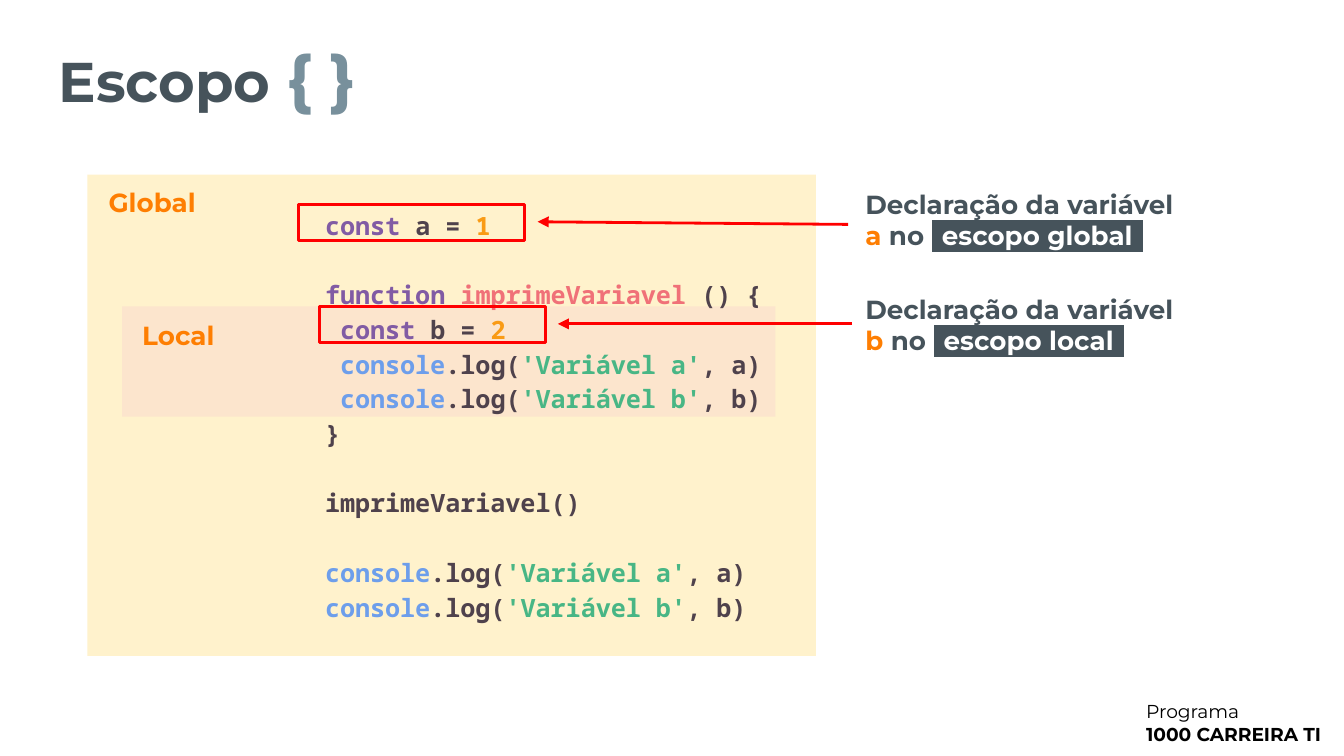
from lxml import etree
from pptx import Presentation
from pptx.dml.color import RGBColor
from pptx.enum.shapes import MSO_CONNECTOR, MSO_SHAPE
from pptx.oxml.ns import qn
from pptx.util import Inches, Pt

RECTANGLE = MSO_SHAPE.RECTANGLE
STRAIGHT = MSO_CONNECTOR.STRAIGHT

BLACK = RGBColor(0x00, 0x00, 0x00)
WHITE = RGBColor(0xFF, 0xFF, 0xFF)
SLATE = RGBColor(0x46, 0x53, 0x5B)
STEEL = RGBColor(0x78, 0x90, 0x9C)
ORANGE = RGBColor(0xFE, 0x7E, 0x02)
RED = RGBColor(0xFF, 0x00, 0x00)
CREAM = RGBColor(0xFF, 0xF2, 0xCC)
PEACH = RGBColor(0xFC, 0xE5, 0xCD)
KEYWORD = RGBColor(0x81, 0x5B, 0xA4)
PLAIN = RGBColor(0x4F, 0x42, 0x4C)
NUMBER = RGBColor(0xF9, 0x9B, 0x15)
FUNCTION = RGBColor(0xF0, 0x71, 0x78)
OBJECT = RGBColor(0x6D, 0x9E, 0xEB)
STRING = RGBColor(0x48, 0xB6, 0x85)

CODE_LINE_PITCH = 18.6

prs = Presentation()
prs.slide_width = Inches(10)
prs.slide_height = Inches(10 * 9 / 16)
slide = prs.slides.add_slide(prs.slide_layouts[6])


def add_text(paragraphs, left, top, width, height, size=14, font="Montserrat",
             bold=True, line_spacing=None, gaps=()):
    """Each paragraph is a list of (text, colour, overrides) runs.

    Overrides may hold size, bold and highlight; gaps maps paragraph
    numbers to the points of space before them.
    """
    box = slide.shapes.add_textbox(Inches(left), Inches(top), Inches(width), Inches(height))
    frame = box.text_frame
    frame.word_wrap = True
    frame.margin_left = frame.margin_right = Inches(0.1)
    frame.margin_top = frame.margin_bottom = Inches(0.1)
    for number, runs in enumerate(paragraphs):
        paragraph = frame.add_paragraph() if number else frame.paragraphs[0]
        paragraph.line_spacing = line_spacing
        if number in gaps:
            paragraph.space_before = Pt(gaps[number])
        for text, colour, *overrides in runs:
            look = overrides[0] if overrides else {}
            run = paragraph.add_run()
            run.text = text
            run.font.name = font
            run.font.size = Pt(look.get("size", size))
            run.font.bold = look.get("bold", bold)
            run.font.color.rgb = colour
            if "highlight" in look:
                highlight = etree.Element(qn("a:highlight"))
                etree.SubElement(highlight, qn("a:srgbClr"), val=str(look["highlight"]))
                run.font._element.find(qn("a:solidFill")).addnext(highlight)


def add_rectangle(left, top, width, height, fill=None, outline=None):
    rectangle = slide.shapes.add_shape(
        RECTANGLE, Inches(left), Inches(top), Inches(width), Inches(height))
    rectangle.shadow.inherit = False
    if fill is None:
        rectangle.fill.background()
    else:
        rectangle.fill.solid()
        rectangle.fill.fore_color.rgb = fill
    if outline is None:
        rectangle.line.fill.background()
    else:
        rectangle.line.color.rgb = outline
        rectangle.line.width = Pt(1.5)


# Footer
add_text([[("Programa", BLACK, {"bold": False})], [("1000 CARREIRA TI", BLACK)]],
         8.43, 5.11, 1.74, 0.54, size=10)

# Scope areas
add_rectangle(0.65, 1.3, 5.42, 3.58, fill=CREAM)
add_rectangle(0.91, 2.28, 4.86, 0.82, fill=PEACH)

# Code
log_lines = [
    [("console", OBJECT), (".log(", PLAIN), (f"'Variável {name}'", STRING),
     (f", {name})", PLAIN)]
    for name in "ab"
]
indent = (" ", PLAIN)
code = [
    [("const", KEYWORD), (" a = ", PLAIN), ("1", NUMBER)],
    [("function ", KEYWORD), ("imprimeVariavel", FUNCTION), (" () {", PLAIN)],
    [indent, ("const", KEYWORD), (" b = ", PLAIN), ("2", NUMBER)],
    *[[indent, *line] for line in log_lines],
    [("}", PLAIN)],
    [("imprimeVariavel()", PLAIN)],
    *log_lines,
]
block_starts = (1, 6, 7)
add_text(code, 2.32, 1.43, 4.19, 3.57, size=13.5, font="Noto Sans Mono",
         line_spacing=1.15, gaps=dict.fromkeys(block_starts, CODE_LINE_PITCH))

# Scope labels and title
add_text([[("Global", ORANGE)]], 0.71, 1.29, 2.07, 0.44)
add_text([[("Local", ORANGE)]], 0.96, 2.28, 2.07, 0.44)
add_text([[("Escopo ", SLATE), ("{ }", STEEL, {"size": 35})]],
         0.34, 0.18, 8.57, 1.07, size=30)

# Explanations; the slate dashes pad the highlighted words
marked = {"highlight": SLATE}
for variable, scope, top, width in (("a", "escopo global", 1.3, 2.55),
                                    ("b", "escopo local", 2.08, 2.67)):
    add_text([[("Declaração da variável ", SLATE), (f"{variable} ", ORANGE),
               ("no ", SLATE), ("-", SLATE, marked), (scope, WHITE, marked),
               ("-", SLATE, marked)]], 6.34, top, width, 0.67)

# Declaration frames and the arrows pointing to them
for left, top in ((2.22, 1.52), (2.38, 2.28)):
    add_rectangle(left, top, 1.68, 0.27, outline=RED)

for start_x, start_y, end_x, end_y in ((6.31, 1.67, 4, 1.65), (6.34, 2.41, 4.15, 2.41)):
    arrow = slide.shapes.add_connector(
        STRAIGHT, Inches(start_x), Inches(start_y), Inches(end_x), Inches(end_y))
    arrow.line.color.rgb = RED
    arrow.line.width = Pt(1.5)
    etree.SubElement(arrow.line._get_or_add_ln(), qn("a:tailEnd"), type="triangle")
    etree.SubElement(arrow._element.spPr, qn("a:effectLst"))

prs.save("out.pptx")
